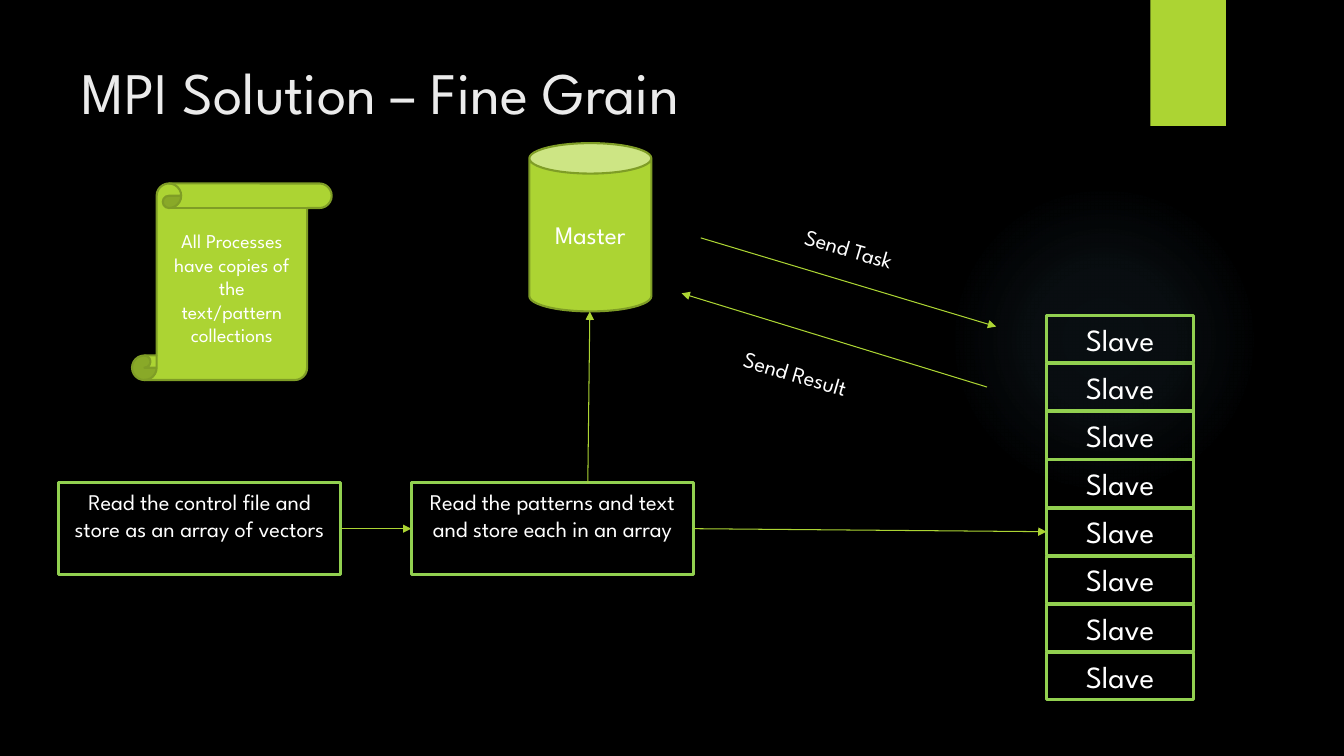
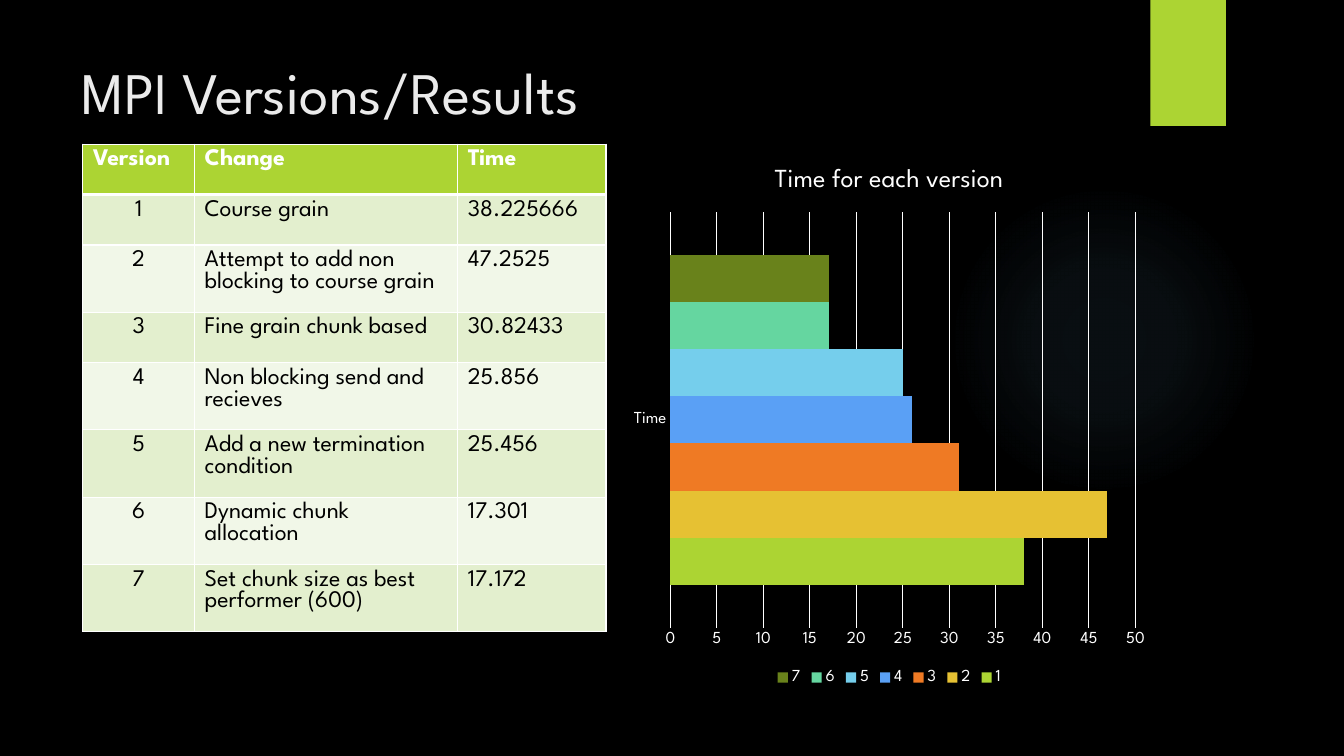
from lxml import etree
from pptx import Presentation
from pptx import util as u
from pptx.chart import data as chart_data
from pptx.dml import color
from pptx.enum import chart as ch, shapes as sh, text as tx
from pptx.oxml import ns, parse_xml

Inches, Pt = u.Inches, u.Pt
FONT = "League Spartan"
BLACK, WHITE, TITLE = "000000", "FFFFFF", "EBEBEB"
LIME, OLIVE, GREEN, GLOW = "ACD433", "7F9D26", "92D050", "7AC4F0"
STRIPES = ["E3EFCE", "F1F7E8"]
SERIES = [LIME, "E6C133", "EF7A24", "5AA0F5", "75CEEC", "65D6A0", "69821B"]
CENTER, LEFT = tx.PP_ALIGN.CENTER, tx.PP_ALIGN.LEFT
TOP, MIDDLE = tx.MSO_ANCHOR.TOP, tx.MSO_ANCHOR.MIDDLE
A = ns.nsdecls("a")
VERSIONS = [
    ("1", "Course grain", "38.225666"),
    ("2", "Attempt to add non blocking to course grain", "47.2525"),
    ("3", "Fine grain chunk based", "30.82433"),
    ("4", "Non blocking send and recieves", "25.856"),
    ("5", "Add a new termination condition", "25.456"),
    ("6", "Dynamic chunk allocation", "17.301"),
    ("7", "Set chunk size as best performer (600)", "17.172"),
]


def rgb(value):
    return color.RGBColor.from_string(value)


def box_lengths(box):
    return [Inches(length) for length in box]


def style_font(font, size, hex_color, bold=False):
    font.name, font.size, font.bold = FONT, Pt(size), bold
    font.color.rgb = rgb(hex_color)


def write(frame, words, size, hex_color=WHITE, align=CENTER, bold=False):
    paragraph = frame.paragraphs[0]
    paragraph.alignment = align
    run = paragraph.add_run()
    run.text = words
    style_font(run.font, size, hex_color, bold)


def add_panel(slide, kind, box, fill=None, line=None, width=2.25):
    panel = slide.shapes.add_shape(kind, *box_lengths(box))
    panel.shadow.inherit = False
    if fill:
        panel.fill.solid()
        panel.fill.fore_color.rgb = rgb(fill)
    else:
        panel.fill.background()
    if line:
        panel.line.color.rgb = rgb(line)
        panel.line.width = Pt(width)
    else:
        panel.line.fill.background()
    return panel


def add_label(slide, box, words, size, hex_color=WHITE, align=CENTER, turn=0):
    label = slide.shapes.add_textbox(*box_lengths(box))
    label.rotation = turn
    label.text_frame.word_wrap = True
    write(label.text_frame, words, size, hex_color, align)


def add_node(slide, kind, box, words, size, fill=None, line=GREEN, width=2.25, anchor=TOP):
    node = add_panel(slide, kind, box, fill, line, width)
    node.text_frame.word_wrap = True
    node.text_frame.vertical_anchor = anchor
    write(node.text_frame, words, size)
    return node


def add_arrow(slide, start=(0, 0), end=(0, 0), source=None, target=None):
    arrow = slide.shapes.add_connector(
        sh.MSO_CONNECTOR.STRAIGHT, *box_lengths(start + end))
    if source:
        arrow.begin_connect(source, 3)
    if target:
        arrow.end_connect(target, 1)
    arrow.line.color.rgb = rgb(LIME)
    arrow.line.width = Pt(0.75)
    etree.SubElement(arrow.line._get_or_add_ln(), ns.qn("a:tailEnd"), type="triangle")
    etree.SubElement(arrow._element.spPr, ns.qn("a:effectLst"))


def add_glow(slide, box):
    glow = add_panel(slide, sh.MSO_SHAPE.OVAL, box)
    stops = "".join(
        f'<a:gs pos="{position}000"><a:srgbClr val="{GLOW}">'
        f'<a:alpha val="{alpha}000"/></a:srgbClr></a:gs>'
        for position, alpha in [(0, 7), (36, 6), (69, 0)])
    gradient = parse_xml(
        f'<a:gradFill {A}><a:gsLst>{stops}</a:gsLst><a:path path="circle">'
        '<a:fillToRect l="50000" t="50000" r="50000" b="50000"/></a:path></a:gradFill>')
    properties = glow._element.spPr
    properties.replace(properties.find(ns.qn("a:noFill")), gradient)


def start_slide(deck, title):
    slide = deck.slides.add_slide(deck.slide_layouts[6])
    slide.background.fill.solid()
    slide.background.fill.fore_color.rgb = rgb(BLACK)
    add_glow(slide, (9.41, 1.83, 3.08, 3.08))
    add_panel(slide, sh.MSO_SHAPE.RECTANGLE, (11.41, 0, 0.75, 1.25), LIME)
    add_label(slide, (0.71, 0.5, 10.29, 0.87), title, 42, TITLE, LEFT)
    return slide


def add_slave_stack(slide, box, count=8):
    left, top, width, height = box
    pitch = height / count
    return [
        add_node(slide, sh.MSO_SHAPE.RECTANGLE,
                 (left, top + row * pitch, width, 0.47), "Slave", 22)
        for row in range(count)]


def add_reading_steps(slide, box):
    left, top, width, height = box
    steps = ["Read the control file and store as an array of vectors",
             "Read the patterns and text and store each in an array"]
    return [
        add_node(slide, sh.MSO_SHAPE.RECTANGLE,
                 (left + 3.5 * index, top, width, height), words, 16)
        for index, words in enumerate(steps)]


def build_fine_grain(deck):
    slide = start_slide(deck, "MPI Solution – Fine Grain")
    add_node(slide, sh.MSO_SHAPE.CAN, (5.25, 1.42, 1.21, 1.67),
             "Master", 18, LIME, OLIVE, 1.5, MIDDLE)
    slaves = add_slave_stack(slide, (10.38, 3.13, 1.46, 3.82))
    control, patterns = add_reading_steps(slide, (0.58, 4.79, 2.8, 0.91))
    add_arrow(slide, source=control, target=patterns)
    add_arrow(slide, (5.83, 4.79), (5.85, 3.09))
    add_arrow(slide, source=patterns, target=slaves[4])
    add_arrow(slide, (6.95, 2.36), (9.88, 3.24))
    add_arrow(slide, (9.79, 3.84), (6.76, 2.91))
    add_label(slide, (7.56, 2.28, 1.72, 0.37), "Send Task", 16, turn=16.4)
    add_label(slide, (7.03, 3.52, 1.72, 0.37), "Send Result", 16, turn=16.3)
    add_node(slide, sh.MSO_SHAPE.VERTICAL_SCROLL, (1.31, 1.82, 1.98, 1.95),
             "All Processes have copies of the text/pattern collections",
             14, LIME, OLIVE, 1.5, MIDDLE)


def set_borders(cell, bottom):
    properties = cell._tc.get_or_add_tcPr()
    for index, (side, width) in enumerate(
            [("lnL", 1), ("lnR", 1), ("lnT", 1), ("lnB", bottom)]):
        properties.insert(index, parse_xml(
            f'<a:{side} {A} w="{Pt(width)}"><a:solidFill>'
            f'<a:srgbClr val="{WHITE}"/></a:solidFill></a:{side}>'))


def add_version_table(slide, box):
    rows = [("Version", "Change", "Time")] + VERSIONS
    frame = slide.shapes.add_table(len(rows), 3, *box_lengths(box))
    table = frame.table
    for column, width in zip(table.columns, (1.11, 2.61, 1.47)):
        column.width = Inches(width)
    for row in table.rows:
        row.height = Inches(0.5)
    frame.height = Inches(box[3])
    for row, values in enumerate(rows):
        header = row == 0
        for column, words in enumerate(values):
            cell = table.cell(row, column)
            cell.fill.solid()
            cell.fill.fore_color.rgb = rgb(LIME if header else STRIPES[(row - 1) % 2])
            set_borders(cell, 3 if header else 1)
            write(cell.text_frame, words, 17, WHITE if header else BLACK,
                  LEFT if header or column else CENTER, header)


def add_time_chart(slide, box):
    times = chart_data.CategoryChartData()
    times.categories = ["Time"]
    for version, _, seconds in VERSIONS:
        times.add_series(version, [round(float(seconds))])
    chart = slide.shapes.add_chart(
        ch.XL_CHART_TYPE.BAR_CLUSTERED, *box_lengths(box), times).chart
    style_font(chart.font, 12, WHITE)
    chart.has_title = True
    heading = chart.chart_title.text_frame.paragraphs[0].add_run()
    heading.text = "Time for each version"
    style_font(heading.font, 18.6, WHITE)
    chart.has_legend = True
    chart.legend.position = ch.XL_LEGEND_POSITION.BOTTOM
    chart.legend.include_in_layout = False
    style_font(chart.legend.font, 12, WHITE)
    plot = chart.plots[0]
    plot.gap_width, plot.overlap = 182, 0
    plot.vary_by_categories = False
    for series, hex_color in zip(plot.series, SERIES):
        series.format.fill.solid()
        series.format.fill.fore_color.rgb = rgb(hex_color)
    for axis in (chart.category_axis, chart.value_axis):
        axis.major_tick_mark = axis.minor_tick_mark = ch.XL_TICK_MARK.NONE
        style_font(axis.tick_labels.font, 12, WHITE)
    seconds_axis = chart.value_axis
    seconds_axis.minimum_scale, seconds_axis.maximum_scale = 0, 50
    seconds_axis.major_unit = 5
    seconds_axis.format.line.fill.background()
    for line in (seconds_axis.major_gridlines.format.line,
                 chart.category_axis.format.line):
        line.color.rgb = rgb(WHITE)
        line.width = Pt(0.75)


def build_results(deck):
    slide = start_slide(deck, "MPI Versions/Results")
    add_version_table(slide, (0.82, 1.43, 5.19, 5.56))
    add_time_chart(slide, (6.18, 1.43, 5.28, 5.41))


def main():
    deck = Presentation()
    deck.slide_width, deck.slide_height = Inches(13.33), Inches(7.5)
    build_fine_grain(deck)
    build_results(deck)
    deck.save("out.pptx")


if __name__ == "__main__":
    main()
